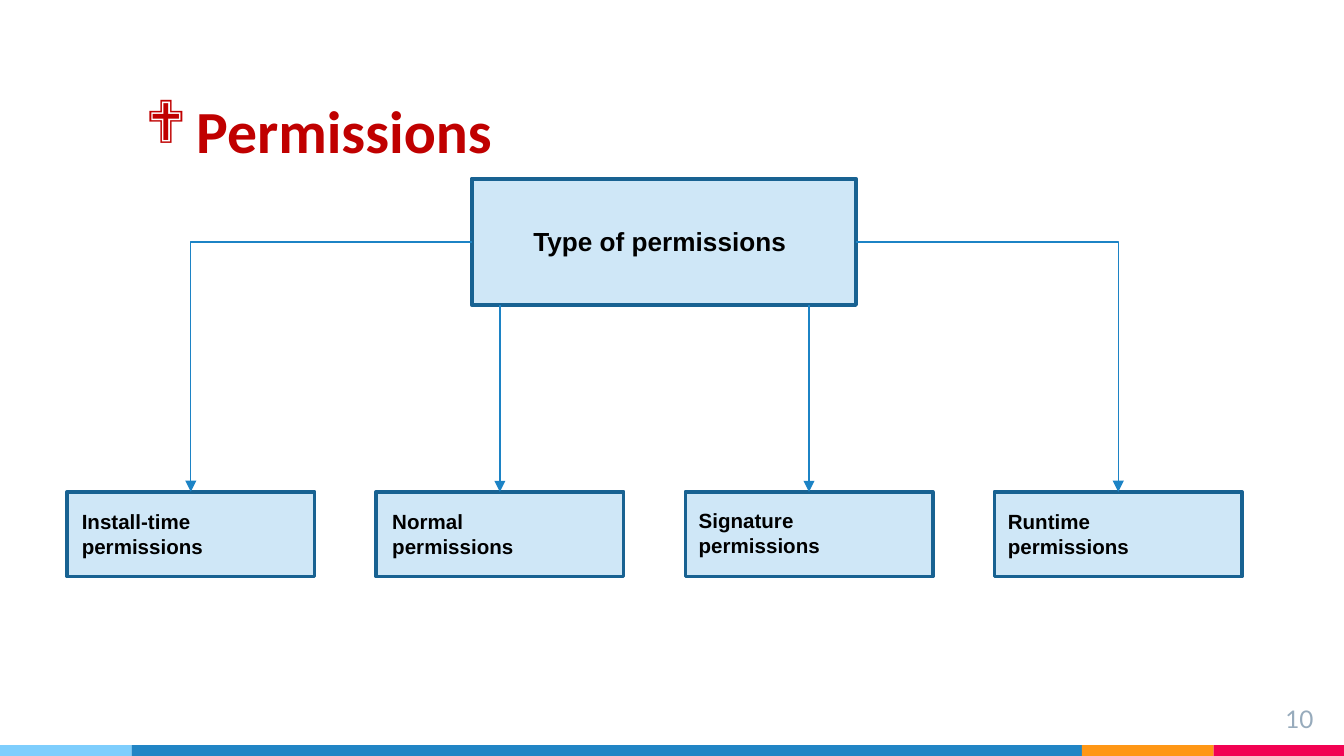
from lxml import etree
from pptx import Presentation
from pptx.dml.color import RGBColor
from pptx.enum.shapes import MSO_CONNECTOR, MSO_SHAPE
from pptx.enum.text import MSO_ANCHOR, MSO_AUTO_SIZE, PP_ALIGN
from pptx.oxml.ns import qn
from pptx.util import Inches, Pt

RECTANGLE = MSO_SHAPE.RECTANGLE
STRAIGHT, ELBOW = MSO_CONNECTOR.STRAIGHT, MSO_CONNECTOR.ELBOW
LEFT, RIGHT = PP_ALIGN.LEFT, PP_ALIGN.RIGHT

# Content
TITLE = "Permissions"
ROOT_LABEL = "Type of permissions"
PAGE_NUMBER = "10"
# Label text, its offset from the left of its box, its top
KINDS = [
    ("Install-time\npermissions", 0.01, 3.74),
    ("Normal\npermissions", 0.02, 3.74),
    ("Signature\npermissions", 0, 3.73),
    ("Runtime\npermissions", 0, 3.74),
]
FOOTER_BANDS = [("sky", 0.98), ("blue", 7.07), ("orange", 0.98), ("pink", 0.97)]

COLORS = {
    "sky": "7ECEFD", "blue": "2185C5", "orange": "FF9715", "pink": "F20253",
    "title": "C00000", "number": "97ABBC", "text": "000000",
    "box": "CFE7F7", "border": "186292", "arrow": "1C83C5",
}

# Layout, in inches
PAGE_WIDTH = 10
PAGE_HEIGHT = PAGE_WIDTH * 9 / 16
BAND_HEIGHT = 0.08
ROOT_LEFT, ROOT_TOP, ROOT_WIDTH, ROOT_HEIGHT = 3.51, 1.33, 2.86, 0.94
KIND_LEFT, KIND_TOP, KIND_WIDTH, KIND_HEIGHT = 0.5, 3.66, 1.84, 0.63
KIND_STEP = 2.3


def color(name):
    return RGBColor.from_string(COLORS[name])


def add_rectangle(page, left, top, width, height, fill, border=None):
    box = page.shapes.add_shape(
        RECTANGLE, Inches(left), Inches(top), Inches(width), Inches(height))
    box.shadow.inherit = False
    box.fill.solid()
    box.fill.fore_color.rgb = color(fill)
    if border:
        box.line.color.rgb = color(border)
        box.line.width = Pt(2)
    else:
        box.line.fill.background()


def format_text(frame, size, font, fill, bold, align=LEFT):
    for para in frame.paragraphs:
        para.alignment = align
        for span in para.runs:
            span.font.size = Pt(size)
            span.font.name = font
            span.font.bold = bold
            span.font.color.rgb = color(fill)


def set_margins(frame, margin):
    frame.margin_left = frame.margin_right = Inches(margin)
    frame.margin_top = frame.margin_bottom = Inches(margin)


def add_label(page, text, left, top, width, height, size):
    label = page.shapes.add_textbox(
        Inches(left), Inches(top), Inches(width), Inches(height))
    frame = label.text_frame
    frame.word_wrap = True
    frame.auto_size = MSO_AUTO_SIZE.SHAPE_TO_FIT_TEXT
    frame.text = text
    format_text(frame, size, "Arial", "text", True)


def add_arrow(page, kind, start, end):
    arrow = page.shapes.add_connector(
        kind, *[Inches(value) for value in (*start, *end)])
    arrow.line.color.rgb = color("arrow")
    arrow.line.width = Pt(0.75)
    properties = arrow._element.spPr
    if kind == ELBOW:  # a single bend: across, then down
        properties.find(qn("a:prstGeom")).set("prst", "bentConnector2")
    etree.SubElement(properties.find(qn("a:ln")), qn("a:tailEnd"), type="triangle")
    etree.SubElement(properties, qn("a:effectLst"))


deck = Presentation()
deck.slide_width, deck.slide_height = Inches(PAGE_WIDTH), Inches(PAGE_HEIGHT)
page = deck.slides.add_slide(deck.slide_layouts[5])

# Footer bands
band_left = 0
for name, width in FOOTER_BANDS:
    add_rectangle(page, band_left, PAGE_HEIGHT - BAND_HEIGHT, width, BAND_HEIGHT, name)
    band_left += width

# Title with a diamond bullet
title = page.shapes.title
title.left, title.top = Inches(0.98), Inches(0.39)
title.width, title.height = Inches(7.07), Inches(0.94)
frame = title.text_frame
frame.text = TITLE
frame.auto_size = MSO_AUTO_SIZE.NONE
frame.vertical_anchor = MSO_ANCHOR.BOTTOM
set_margins(frame, 0.1)
format_text(frame, 32, "Calibri", "title", True)
para = frame.paragraphs[0]
para.line_spacing = 1.07
para.space_after = Pt(12)
bullet = para._p.get_or_add_pPr()
bullet.set("marL", str(Inches(0.38)))
bullet.set("indent", str(-Inches(0.38)))
bullet_color = etree.SubElement(bullet, qn("a:buClr"))
etree.SubElement(bullet_color, qn("a:srgbClr"), val=COLORS["title"])
etree.SubElement(bullet, qn("a:buFont"), typeface="Wingdings", charset="2")
etree.SubElement(bullet, qn("a:buChar"), char="❖")

# Page number
number = page.shapes.add_textbox(
    Inches(9.27), Inches(5.14), Inches(0.6), Inches(0.34))
number.text_frame.word_wrap = True
number.text_frame.text = PAGE_NUMBER
set_margins(number.text_frame, 0.1)
format_text(number.text_frame, 13, "Lato", "number", False, RIGHT)

# Root box
add_rectangle(page, ROOT_LEFT, ROOT_TOP, ROOT_WIDTH, ROOT_HEIGHT, "box", "border")
add_label(page, ROOT_LABEL, 3.87, 1.63, 2.26, 0.34, 14)

# Boxes for the kinds of permission
kind_lefts = [KIND_LEFT + index * KIND_STEP for index in range(len(KINDS))]
for left in kind_lefts:
    add_rectangle(page, left, KIND_TOP, KIND_WIDTH, KIND_HEIGHT, "box", "border")

# Arrows from the root: outer ones leave its sides, inner ones its bottom
root_right = ROOT_LEFT + ROOT_WIDTH
root_middle = ROOT_TOP + ROOT_HEIGHT / 2
for left in kind_lefts:
    center = left + KIND_WIDTH / 2
    if center < ROOT_LEFT:
        kind, start = ELBOW, (ROOT_LEFT, root_middle)
    elif center > root_right:
        kind, start = ELBOW, (root_right, root_middle)
    else:
        kind, start = STRAIGHT, (center, ROOT_TOP + ROOT_HEIGHT)
    add_arrow(page, kind, start, (center, KIND_TOP))

# Labels of the kinds
for left, (text, offset, top) in zip(kind_lefts, KINDS):
    add_label(page, text, left + offset, top, 2.09, 0.47, 11)

deck.save("out.pptx")
